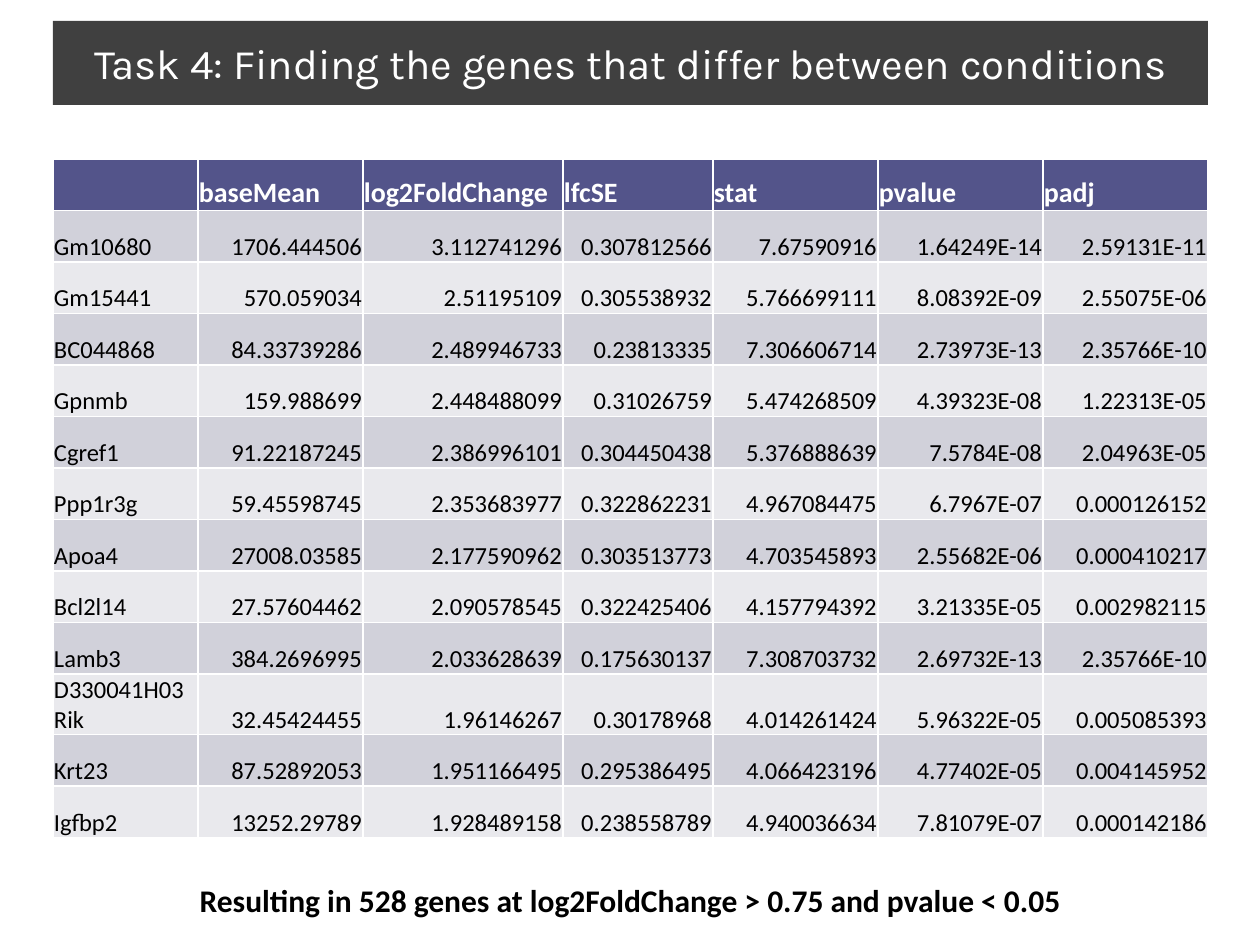
from pptx import Presentation
from pptx.dml.color import RGBColor
from pptx.enum.shapes import MSO_SHAPE as Shape
from pptx.enum.text import MSO_ANCHOR as Anchor, PP_ALIGN as Align
from pptx.util import Emu, Pt

COLS = [145, 165, 200, 150, 165, 165, 165]
HEAD = ["", "baseMean", "log2FoldChange", "lfcSE", "stat", "pvalue", "padj"]
GENES = [
    "Gm10680 1706.444506 3.112741296 0.307812566 7.67590916 1.64249E-14 2.59131E-11",
    "Gm15441 570.059034 2.51195109 0.305538932 5.766699111 8.08392E-09 2.55075E-06",
    "BC044868 84.33739286 2.489946733 0.23813335 7.306606714 2.73973E-13 2.35766E-10",
    "Gpnmb 159.988699 2.448488099 0.31026759 5.474268509 4.39323E-08 1.22313E-05",
    "Cgref1 91.22187245 2.386996101 0.304450438 5.376888639 7.5784E-08 2.04963E-05",
    "Ppp1r3g 59.45598745 2.353683977 0.322862231 4.967084475 6.7967E-07 0.000126152",
    "Apoa4 27008.03585 2.177590962 0.303513773 4.703545893 2.55682E-06 0.000410217",
    "Bcl2l14 27.57604462 2.090578545 0.322425406 4.157794392 3.21335E-05 0.002982115",
    "Lamb3 384.2696995 2.033628639 0.175630137 7.308703732 2.69732E-13 2.35766E-10",
    "D330041H03Rik 32.45424455 1.96146267 0.30178968 4.014261424 5.96322E-05 0.005085393",
    "Krt23 87.52892053 1.951166495 0.295386495 4.066423196 4.77402E-05 0.004145952",
    "Igfbp2 13252.29789 1.928489158 0.238558789 4.940036634 7.81079E-07 0.000142186",
]


def px(n):
    """Turn pixels into EMU."""
    return Emu(round(n * 914400 / 126))


def paint(fill, color):
    """Give a fill one solid colour."""
    fill.solid()
    fill.fore_color.rgb = RGBColor.from_string(color)


def write(frame, text, size, color, align, face="Calibri", bold=False):
    """Write one styled paragraph in a text frame."""
    frame.word_wrap = True
    para = frame.paragraphs[0]
    para.text = text
    para.alignment = align
    font = para.font
    font.name, font.size, font.bold = face, Pt(size), bold
    font.color.rgb = RGBColor.from_string(color)


def add_title(slide, box, text):
    """Draw the dark title bar."""
    bar = slide.shapes.add_shape(Shape.RECTANGLE, *map(px, box))
    bar.shadow.inherit = False
    paint(bar.fill, "404040")
    bar.line.fill.background()
    bar.text_frame.vertical_anchor = Anchor.MIDDLE
    write(bar.text_frame, text, 24, "FFFFFF", Align.CENTER, "Karla")


def add_genes(slide, box, rows):
    """Draw the gene table with a header and banded rows."""
    table = slide.shapes.add_table(len(rows), len(COLS), *map(px, box)).table
    for col, width in zip(table.columns, COLS):
        col.width = px(width)
    for r, row in enumerate(rows):
        table.rows[r].height = px(box[3] / len(rows))
        for c, text in enumerate(row):
            cell = table.cell(r, c)
            cell.margin_left = cell.margin_right = cell.margin_top = px(1)
            cell.margin_bottom = 0
            cell.vertical_anchor = Anchor.BOTTOM
            if r == 0:
                paint(cell.fill, "53548A")
                write(cell.text_frame, text, 16, "FFFFFF", Align.LEFT, bold=True)
            else:
                paint(cell.fill, "D1D1DA" if r % 2 else "E9E9ED")
                side = Align.RIGHT if c else Align.LEFT
                write(cell.text_frame, text, 14, "000000", side)


def add_note(slide, box, text):
    """Place the bold closing line."""
    note = slide.shapes.add_textbox(*map(px, box))
    write(note.text_frame, text, 18, "000000", Align.CENTER, bold=True)


def main():
    """Build and save the slide."""
    deck = Presentation()
    deck.slide_width, deck.slide_height = px(1260), px(945)
    slide = deck.slides.add_slide(deck.slide_layouts[6])
    left, width = 53, sum(COLS)
    rows = [HEAD] + [line.split() for line in GENES]
    add_title(slide, (left, 21, width, 84),
              "Task 4: Finding the genes that differ between conditions")
    add_genes(slide, (left, 159, width, 670), rows)
    add_note(slide, (left, 875, width, 50),
             "Resulting in 528 genes at log2FoldChange > 0.75 and pvalue < 0.05")
    deck.save("out.pptx")


if __name__ == "__main__":
    main()
